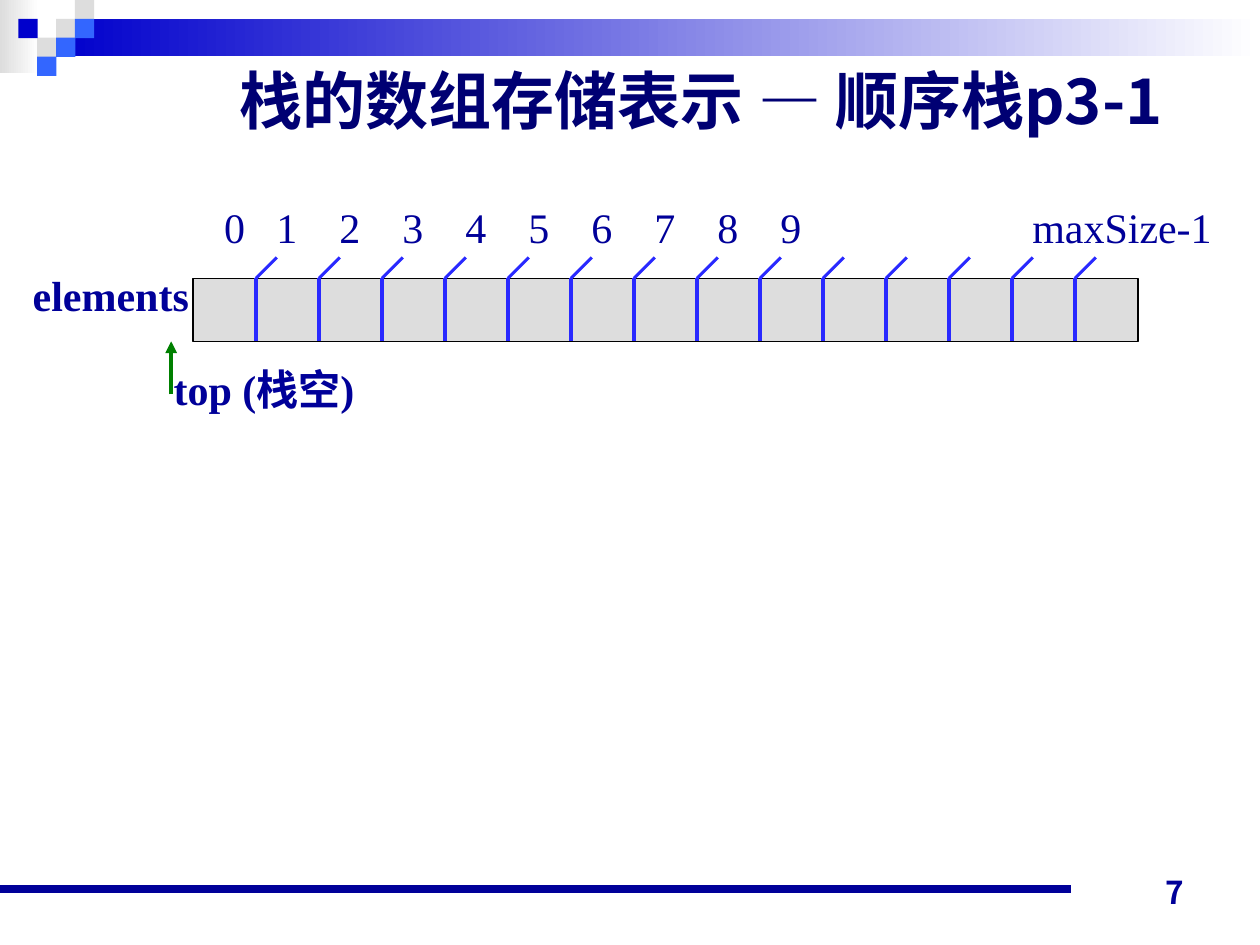
from lxml import etree
from pptx import Presentation
from pptx.dml.color import RGBColor
from pptx.enum.shapes import MSO_CONNECTOR, MSO_SHAPE
from pptx.enum.text import MSO_ANCHOR, MSO_AUTO_SIZE, PP_ALIGN
from pptx.oxml.ns import qn
from pptx.util import Cm, Pt

RECTANGLE = MSO_SHAPE.RECTANGLE
STRAIGHT = MSO_CONNECTOR.STRAIGHT
LEFT, CENTER, RIGHT = PP_ALIGN.LEFT, PP_ALIGN.CENTER, PP_ALIGN.RIGHT
TOP, MIDDLE, BOTTOM = MSO_ANCHOR.TOP, MSO_ANCHOR.MIDDLE, MSO_ANCHOR.BOTTOM
NO_AUTOFIT = MSO_AUTO_SIZE.NONE


def color(value):
    return RGBColor.from_string(value)


class SlideBuilder:
    serif = "Times New Roman"
    sans = "Noto Sans CJK JP"
    chinese = "Noto Sans CJK SC"
    navy, title_navy, blue = "000099", "000073", "0000CC"
    light_blue, divider_blue = "3366FF", "2929FF"
    gray, green, white, black = "DDDDDD", "008000", "FFFFFF", "000000"

    def __init__(self, page):
        self.page = page

    def set_font(self, paragraph, name, size, value, bold):
        font = paragraph.font
        font.name, font.size, font.bold = name, Pt(size), bold
        font.color.rgb = color(value)

    def set_east_asian(self, span, name):
        properties = span.font._element
        etree.SubElement(properties, qn("a:ea")).set("typeface", name)

    def title(self, spans, left, top, width, height):
        box = self.page.shapes.title
        box.left, box.top, box.width, box.height = map(Cm, (left, top, width, height))
        frame = box.text_frame
        frame.auto_size = NO_AUTOFIT
        frame.vertical_anchor = MIDDLE
        paragraph = frame.paragraphs[0]
        paragraph.alignment = CENTER
        self.set_font(paragraph, self.sans, 36, self.title_navy, True)
        for text, name in spans:
            span = paragraph.add_run()
            span.text = text
            span.font.name = name
            self.set_east_asian(span, name)

    def text(self, text, left, top, width, name=serif, size=24, bold=True,
             align=LEFT, anchor=TOP, tabs=()):
        box = self.page.shapes.add_textbox(Cm(left), Cm(top), Cm(width), Cm(1.27))
        frame = box.text_frame
        frame.word_wrap = True
        frame.vertical_anchor = anchor
        paragraph = frame.paragraphs[0]
        paragraph.alignment = align
        if tabs:
            tab_list = etree.SubElement(paragraph._p.get_or_add_pPr(), qn("a:tabLst"))
            for position in tabs:
                etree.SubElement(tab_list, qn("a:tab"), pos=str(Cm(position)), algn="l")
        self.set_font(paragraph, name, size, self.navy, bold)
        span = paragraph.add_run()
        span.text = text
        self.set_east_asian(span, self.chinese)

    def rectangle(self, left, top, width, height, fill, fade=None, outline=None):
        shape = self.page.shapes.add_shape(
            RECTANGLE, Cm(left), Cm(top), Cm(width), Cm(height))
        shape.shadow.inherit = False
        if fade:
            shape.fill.gradient()
            shape.fill.gradient_angle = 0
            for stop, value in zip(shape.fill.gradient_stops, (fill, fade)):
                stop.color.rgb = color(value)
        else:
            shape.fill.solid()
            shape.fill.fore_color.rgb = color(fill)
        if outline:
            shape.line.color.rgb = color(outline)
            shape.line.width = Pt(0.75)
        else:
            shape.line.fill.background()

    def line(self, start, end, value, weight, arrow=False):
        connector = self.page.shapes.add_connector(
            STRAIGHT, *map(Cm, (*start, *end)))
        connector.line.color.rgb = color(value)
        connector.line.width = Pt(weight)
        if arrow:
            etree.SubElement(connector.line._get_or_add_ln(), qn("a:tailEnd"),
                             type="triangle")
        etree.SubElement(connector._element.spPr, qn("a:effectLst"))


def add_decoration(builder):
    builder.rectangle(0, 0, 0.79, 1.47, builder.gray, fade=builder.white)
    builder.rectangle(1.14, 0.38, 24.26, 0.76, builder.blue, fade=builder.white)
    squares = [
        (2, 1, builder.gray), (3, 0, builder.gray), (3, 1, builder.light_blue),
        (1, 2, builder.gray), (0, 1, builder.blue), (2, 2, builder.light_blue),
        (1, 3, builder.light_blue),
    ]
    for column, row, fill in squares:
        builder.rectangle(0.37 + 0.38 * column, 0.38 * row, 0.39, 0.39, fill)
    builder.line((0, 17.93), (21.59, 17.93), builder.navy, 4.5)
    builder.text("7", 18.21, 17.22, 5.92, name=builder.sans, size=18,
                 align=RIGHT, anchor=BOTTOM)


def add_array(builder):
    left, top, cell, count = 3.89, 5.61, 1.27, 15
    bottom = top + cell
    builder.rectangle(left, top, cell * count, cell, builder.gray,
                      outline=builder.black)
    for index in range(1, count):
        edge = left + cell * index
        for end in ((edge, bottom), (edge + 0.42, top - 0.42)):
            builder.line((edge, top), end, builder.divider_blue, 1.75)

    labels = [str(index) for index in range(10)] + ["maxSize-1"]
    tabs = [1.05 + cell * step for step in (*range(9), 12)]
    builder.text("\t".join(labels), 4.27, 3.94, 20.9, bold=False, tabs=tabs)
    builder.text("elements", 0.41, 5.31, 3.8)
    builder.line((3.45, 7.95), (3.45, bottom), builder.green, 2.25, arrow=True)
    builder.text("top (栈空)", 3.25, 7.21, 4.8)


def main():
    deck = Presentation()
    deck.slide_width, deck.slide_height = Cm(25.4), Cm(19.05)
    builder = SlideBuilder(deck.slides.add_slide(deck.slide_layouts[5]))
    add_decoration(builder)
    builder.title([("栈的数组存储表示 ", builder.sans), ("— ", builder.chinese),
                   ("顺序栈p3-1", builder.sans)], 2.87, 1.32, 22.53, 1.37)
    add_array(builder)
    deck.save("out.pptx")


if __name__ == "__main__":
    main()
